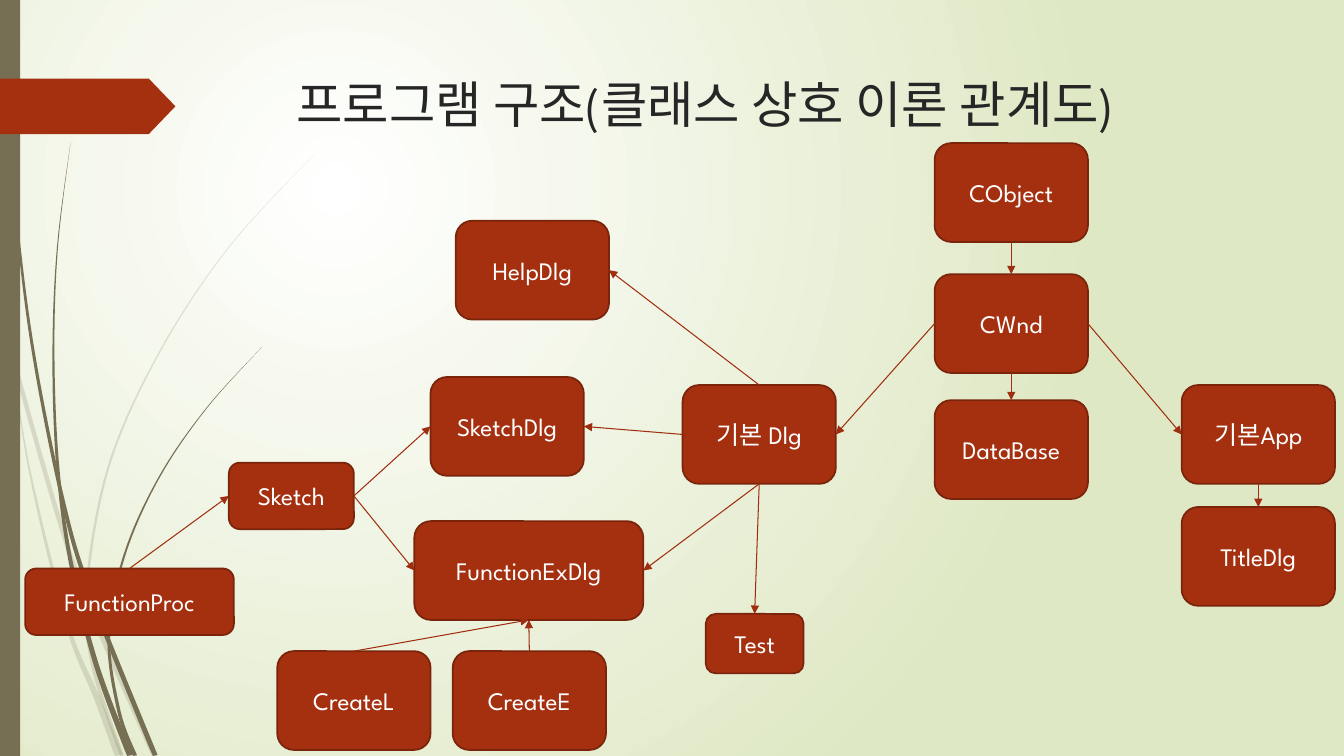
import math
from dataclasses import dataclass

from lxml import etree
from pptx import Presentation
from pptx import util as u
from pptx.dml import color
from pptx.enum import shapes, text
from pptx.oxml import ns


@dataclass(frozen=True)
class Theme:
    font: str = "League Spartan"
    title_size: int = 36
    box_size: int = 18
    title: str = "262626"
    box_text: str = "FFFFFF"
    accent: str = "A53010"
    border: str = "7A240C"
    arrow: str = "9E2E0F"
    stem: str = "766F54"
    glow: str = "FFFFFF"
    backdrop: str = "DFE8C4"


@dataclass(frozen=True)
class Stem:
    tip_width: float
    base_width: float
    waypoints: tuple


THEME = Theme()
PAGE_WIDTH, PAGE_HEIGHT = 13.33, 7.5
TOP, LEFT, BOTTOM, RIGHT = range(4)
CURVE_STEPS = 8

PALE_PLANT = [
    Stem(0.04, 0.05, ((0, 2.9), (0.16, 3.65), (0.6, 5.2), (0.9, 6.05), (1.53, 7.5))),
    Stem(0, 0.08, ((0.11, 3.5), (0.3, 4.7), (0.67, 6.2), (0.96, 6.92), (1.18, 7.5))),
    Stem(0, 0.04, ((3.12, 1.53), (2.28, 2.44), (1.59, 3.48), (1.08, 4.62), (0.86, 5.84),
                   (0.92, 6.6), (1.21, 7.5))),
]
DARK_PLANT = [
    Stem(0.01, 0.05, ((0.04, 0), (0.08, 1.1), (0.18, 2.33), (0.34, 3.55), (0.62, 4.95),
                      (0.9, 5.9), (1.54, 7.5))),
    Stem(0, 0.06, ((0.7, 1.41), (0.57, 2.45), (0.53, 3.49), (0.57, 4.6), (0.7, 5.57),
                   (0.95, 6.58), (1.29, 7.5))),
    Stem(0, 0.04, ((2.6, 3.44), (2.04, 4.06), (1.57, 4.75), (1.23, 5.52), (1.08, 6.32),
                   (1.18, 7.06), (1.34, 7.5))),
]

STANDARD, WIDE, LONG = (1.52, 0.98), (2.27, 0.98), (2.07, 0.66)
SMALL, MINI = (1.24, 0.66), (0.97, 0.59)
BASE_COLUMN, APP_COLUMN = 9.27, 11.72
DERIVED_ROW, CREATE_ROW = 3.82, 6.46

CLASSES = [
    ("CObject", BASE_COLUMN, 1.42, STANDARD),
    ("CWnd", BASE_COLUMN, 2.72, STANDARD),
    ("DataBase", BASE_COLUMN, 3.97, STANDARD),
    ("기본App", APP_COLUMN, DERIVED_ROW, STANDARD),
    ("TitleDlg", APP_COLUMN, 5.03, STANDARD),
    ("기본 Dlg", 6.77, DERIVED_ROW, STANDARD),
    ("HelpDlg", 4.52, 2.19, STANDARD),
    ("SketchDlg", 4.27, 3.74, STANDARD),
    ("FunctionExDlg", 4.11, 5.17, WIDE),
    ("Test", 7, 6.09, MINI),
    ("Sketch", 2.27, 4.59, SMALL),
    ("FunctionProc", 0.25, 5.64, LONG),
    ("CreateL", 2.75, CREATE_ROW, STANDARD),
    ("CreateE", 4.49, CREATE_ROW, STANDARD),
]
RELATIONS = [
    ("CObject", BOTTOM, "CWnd", TOP),
    ("CWnd", BOTTOM, "DataBase", TOP),
    ("CWnd", RIGHT, "기본App", LEFT),
    ("CWnd", LEFT, "기본 Dlg", RIGHT),
    ("기본App", BOTTOM, "TitleDlg", TOP),
    ("기본 Dlg", TOP, "HelpDlg", RIGHT),
    ("기본 Dlg", LEFT, "SketchDlg", RIGHT),
    ("기본 Dlg", BOTTOM, "FunctionExDlg", RIGHT),
    ("기본 Dlg", BOTTOM, "Test", TOP),
    ("FunctionProc", TOP, "Sketch", LEFT),
    ("Sketch", RIGHT, "SketchDlg", LEFT),
    ("Sketch", RIGHT, "FunctionExDlg", LEFT),
    ("CreateL", TOP, "FunctionExDlg", BOTTOM),
    ("CreateE", TOP, "FunctionExDlg", BOTTOM),
]


def rgb(code):
    return color.RGBColor.from_string(code)


def paint_background(page):
    fill = page.background.fill
    fill.gradient()
    for stop, code in zip(fill.gradient_stops, (THEME.glow, THEME.backdrop)):
        stop.color.rgb = rgb(code)
    gradient = page._element.find(".//" + ns.qn("a:gradFill"))
    gradient.remove(gradient.find(ns.qn("a:lin")))
    circle = etree.SubElement(gradient, ns.qn("a:path"), path="circle")
    etree.SubElement(circle, ns.qn("a:fillToRect"), l="50000", t="50000", r="100000", b="100000")


def style_shape(shape, fill, border=None):
    shape.shadow.inherit = False
    shape.fill.solid()
    shape.fill.fore_color.rgb = rgb(fill)
    if border:
        shape.line.color.rgb = rgb(border)
        shape.line.width = u.Pt(1.25)
    else:
        shape.line.fill.background()


def spline(before, start, end, after, t):
    return (2 * start + (end - before) * t
            + (2 * before - 5 * start + 4 * end - after) * t ** 2
            + (3 * start - before - 3 * end + after) * t ** 3) / 2


def smooth(waypoints):
    padded = (waypoints[0], *waypoints, waypoints[-1])
    curve = [tuple(spline(*axis, step / CURVE_STEPS) for axis in zip(*padded[i:i + 4]))
             for i in range(len(waypoints) - 1) for step in range(CURVE_STEPS)]
    return curve + [waypoints[-1]]


def stem_outline(stem):
    spine = smooth(stem.waypoints)
    last = len(spine) - 1
    left_edge, right_edge = [], []
    for i, (x, y) in enumerate(spine):
        (x0, y0), (x1, y1) = spine[max(i - 1, 0)], spine[min(i + 1, last)]
        half = (stem.tip_width + (stem.base_width - stem.tip_width) * i / last) / 2
        reach = half / math.hypot(x1 - x0, y1 - y0)
        across, down = (y1 - y0) * reach, (x1 - x0) * reach
        left_edge.append((x - across, min(y + down, PAGE_HEIGHT)))
        right_edge.append((x + across, min(y - down, PAGE_HEIGHT)))
    return left_edge + right_edge[::-1]


def add_plant(page, stems, opacity=100):
    plant = page.shapes.add_group_shape()
    for stem in stems:
        start, *rest = [(u.Inches(x), u.Inches(y)) for x, y in stem_outline(stem)]
        builder = plant.shapes.build_freeform(*start)
        builder.add_line_segments(rest, close=True)
        blade = builder.convert_to_shape()
        style_shape(blade, THEME.stem)
        tint = blade._element.spPr.find(".//" + ns.qn("a:srgbClr"))
        etree.SubElement(tint, ns.qn("a:alpha"), val=str(opacity * 1000))


def add_block(page, kind, left, top, width, height, fill, border=None):
    block = page.shapes.add_shape(kind, *map(u.Inches, (left, top, width, height)))
    style_shape(block, fill, border)
    return block


def write(para, words, size, code):
    span = para.add_run()
    span.text = words
    span.font.name = THEME.font
    span.font.size = u.Pt(size)
    span.font.color.rgb = rgb(code)


def add_title(page, words):
    box = page.shapes.add_textbox(u.Inches(2.84), u.Inches(0.68), u.Inches(9.75), u.Inches(1.4))
    box.text_frame.word_wrap = True
    write(box.text_frame.paragraphs[0], words, THEME.title_size, THEME.title)


def add_class(page, name, left, top, size):
    box = add_block(page, shapes.MSO_SHAPE.FLOWCHART_ALTERNATE_PROCESS, left, top, *size,
                    THEME.accent, THEME.border)
    box.text_frame.word_wrap = True
    box.text_frame.vertical_anchor = text.MSO_ANCHOR.MIDDLE
    para = box.text_frame.paragraphs[0]
    para.alignment = text.PP_ALIGN.CENTER
    write(para, name, THEME.box_size, THEME.box_text)
    return box


def add_arrow(page, source, source_side, target, target_side):
    arrow = page.shapes.add_connector(shapes.MSO_CONNECTOR.STRAIGHT, 0, 0, 0, 0)
    arrow.begin_connect(source, source_side)
    arrow.end_connect(target, target_side)
    arrow.line.color.rgb = rgb(THEME.arrow)
    arrow.line.width = u.Pt(0.75)
    properties = arrow._element.spPr
    etree.SubElement(properties.find(ns.qn("a:ln")), ns.qn("a:tailEnd"), type="triangle")
    etree.SubElement(properties, ns.qn("a:effectLst"))


def main():
    deck = Presentation()
    deck.slide_width, deck.slide_height = u.Inches(PAGE_WIDTH), u.Inches(PAGE_HEIGHT)
    page = deck.slides.add_slide(deck.slide_layouts[6])
    paint_background(page)
    add_plant(page, PALE_PLANT, opacity=20)
    add_plant(page, DARK_PLANT)
    add_block(page, shapes.MSO_SHAPE.RECTANGLE, 0, 0, 0.2, PAGE_HEIGHT, THEME.stem)
    title_tab = add_block(page, shapes.MSO_SHAPE.PENTAGON, 0, 0.78, 1.74, 0.55, THEME.accent)
    title_tab.adjustments[0] = 0.48
    add_title(page, "프로그램 구조(클래스 상호 이론 관계도)")
    boxes = {name: add_class(page, name, *place) for name, *place in CLASSES}
    for source, source_side, target, target_side in RELATIONS:
        add_arrow(page, boxes[source], source_side, boxes[target], target_side)
    deck.save("out.pptx")


if __name__ == "__main__":
    main()
